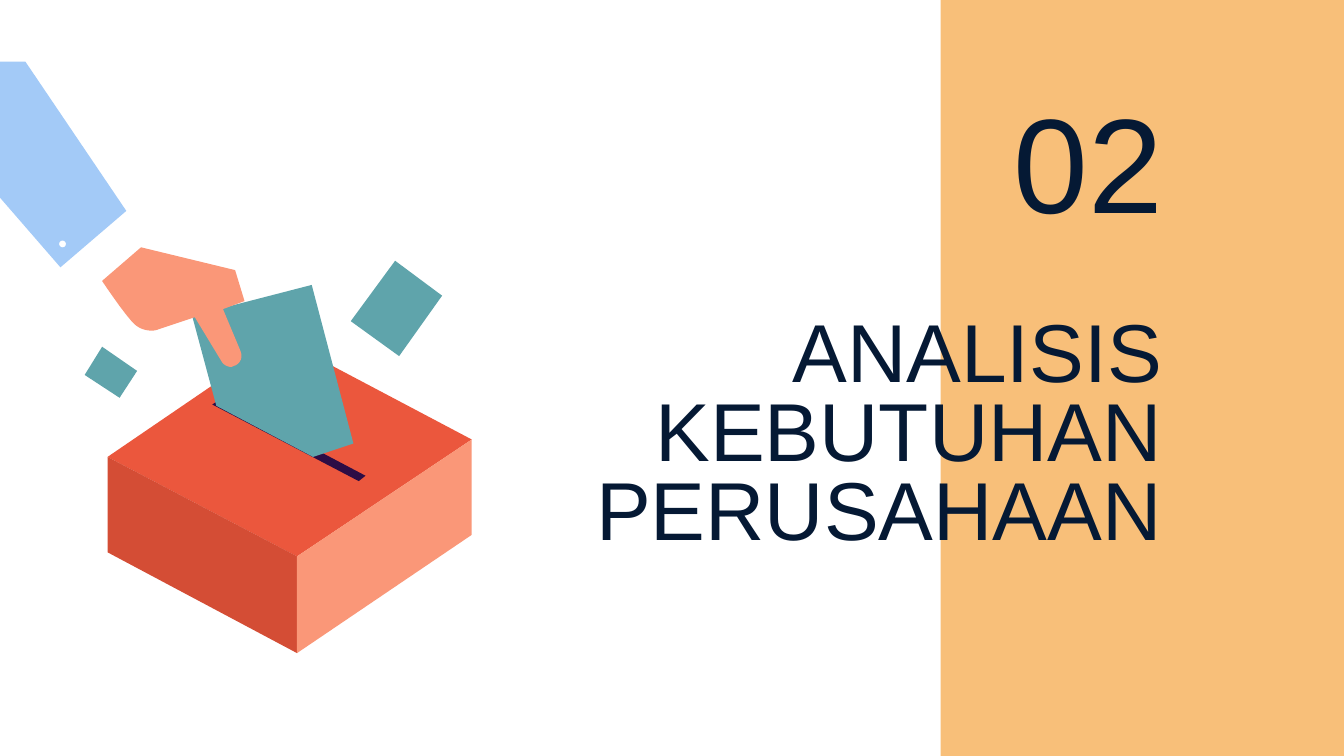
from collections import namedtuple

from pptx import Presentation
from pptx.dml.color import RGBColor
from pptx.enum.shapes import MSO_SHAPE
from pptx.enum.text import MSO_ANCHOR, MSO_AUTO_SIZE, PP_ALIGN
from pptx.util import Pt

RECTANGLE, OVAL = MSO_SHAPE.RECTANGLE, MSO_SHAPE.OVAL
MIDDLE, BOTTOM = MSO_ANCHOR.MIDDLE, MSO_ANCHOR.BOTTOM
RIGHT = PP_ALIGN.RIGHT
NO_AUTOFIT = MSO_AUTO_SIZE.NONE

PX = 9144  # EMU per px, 100 px to the inch
PAGE_WIDTH = 1000
PAGE_HEIGHT = PAGE_WIDTH * 9 / 16
TITLE_ONLY = 5
FONT = "Arial"
CURVE_STEPS = 6
COLORS = {
    "white": "FFFFFF",
    "band": "F8BF79",
    "ink": "051934",
    "lid": "EB573D",
    "slot": "2D0D45",
    "box_dark": "D44D35",
    "skin": "FA9778",
    "paper": "5FA4AB",
    "sleeve": "A3CAF7",
}

Box = namedtuple("Box", "left top width height")


def color(name):
    return RGBColor.from_string(COLORS[name])


def emu(*lengths):
    return [round(length * PX) for length in lengths]


def paint(shape, fill):
    shape.fill.solid()
    shape.fill.fore_color.rgb = color(fill)
    shape.line.fill.background()
    shape.shadow.inherit = False


def add_preset(shapes, kind, box, fill):
    paint(shapes.add_shape(kind, *emu(*box)), fill)


def flatten(outline):
    """Turn (x, y) corners and (x1, y1, x2, y2, x, y) curves into points."""
    points = []
    for step in outline:
        if len(step) == 2:
            points.append(step)
            continue
        controls = [points[-1], step[:2], step[2:4], step[4:]]
        for index in range(1, CURVE_STEPS + 1):
            t = index / CURVE_STEPS
            weights = ((1 - t) ** 3, 3 * t * (1 - t) ** 2, 3 * t * t * (1 - t), t ** 3)
            points.append(tuple(
                sum(w * control[axis] for w, control in zip(weights, controls))
                for axis in (0, 1)))
    return points


def add_outline(shapes, box, outline, fill):
    points = [emu(box.left + x, box.top + y) for x, y in flatten(outline)]
    builder = shapes.build_freeform(*points[0])
    builder.add_line_segments(points[1:], close=True)
    paint(builder.convert_to_shape(), fill)


def write_text(shape, box, text, size, anchor, line_spacing):
    shape.left, shape.top, shape.width, shape.height = emu(*box)
    frame = shape.text_frame
    frame.text = text
    frame.word_wrap = True
    frame.auto_size = NO_AUTOFIT
    frame.vertical_anchor = anchor
    frame.margin_left = frame.margin_right = 10 * PX
    frame.margin_top = frame.margin_bottom = 10 * PX
    para = frame.paragraphs[0]
    para.alignment = RIGHT
    para.line_spacing = line_spacing
    font = para.runs[0].font
    font.name, font.size = FONT, Pt(size)
    font.color.rgb = color("ink")


def draw_ballot_box(shapes, box):
    lid = [(129, 0), (271, 75), (141, 162), (0, 88)]
    slot = [(84, 45), (192, 102), (187, 106), (78, 49)]
    left_side = [(0, 88), (141, 162), (141, 234), (0, 159)]
    right_side = [(271, 75), (271, 146), (141, 234), (141, 162)]
    add_outline(shapes, box, lid, "lid")
    add_outline(shapes, box, slot, "slot")
    add_outline(shapes, box, left_side, "box_dark")
    add_outline(shapes, box, right_side, "skin")


def draw_papers(shapes, box):
    ballot = [(169, 18), (200, 136), (170, 146), (98, 108), (80, 41)]
    large_scrap = [(231, 0), (266, 26), (234, 71), (198, 45)]
    small_scrap = [(13, 64), (39, 82), (26, 102), (0, 85)]
    for outline in (ballot, large_scrap, small_scrap):
        add_outline(shapes, box, outline, "paper")


def draw_arm(shapes, box):
    hand = [
        (145, 138), (215, 155), (222, 178), (206, 184), (219, 215),
        # Fingertip
        (221, 220, 219, 224, 215, 226), (214, 226, 213, 227, 212, 227),
        (209, 227, 206, 225, 205, 223), (185, 190), (158, 199),
        # Heel of the hand
        (158, 199, 156, 200, 153, 200), (149, 200, 143, 199, 138, 193),
        (130, 184, 116, 163, 116, 163),
    ]
    sleeve = [(59, 0), (134, 111), (85, 153), (0, 55), (0, 0)]
    button = Box(box.left + 84, box.top + 133, 5, 5)
    add_outline(shapes, box, hand, "skin")
    add_outline(shapes, box, sleeve, "sleeve")
    add_preset(shapes, OVAL, button, "white")


def draw_voting_scene(page, box):
    shapes = page.shapes.add_group_shape().shapes
    draw_ballot_box(shapes, Box(box.left + 120, box.top + 206, 271, 234))
    draw_papers(shapes, Box(box.left + 103, box.top + 148, 266, 146))
    draw_arm(shapes, Box(box.left, box.top, 222, 227))


def draw_heading(page, box):
    title_box = Box(box.left, box.top + 177, box.width, 92)
    number_box = Box(box.left + box.width - 275, box.top, 275, 86)
    write_text(page.shapes.title, title_box, "ANALISIS KEBUTUHAN PERUSAHAAN", 44, MIDDLE, 0.8)
    number = page.shapes.add_textbox(*emu(*number_box))
    write_text(number, number_box, "02", 72, BOTTOM, 1.0)


def build_section_page(deck):
    page = deck.slides.add_slide(deck.slide_layouts[TITLE_ONLY])
    page.background.fill.solid()
    page.background.fill.fore_color.rgb = color("white")
    # Side band, placed behind the title and bleeding past the page edge
    add_preset(page.shapes, RECTANGLE, Box(700, -1, 303, 565), "band")
    title = page.shapes.title._element
    title.getparent().append(title)
    draw_heading(page, Box(412, 103, 463, 269))
    draw_voting_scene(page, Box(-40, 46, 391, 440))


def main():
    deck = Presentation()
    deck.slide_width, deck.slide_height = emu(PAGE_WIDTH, PAGE_HEIGHT)
    build_section_page(deck)
    deck.save("out.pptx")


if __name__ == "__main__":
    main()
